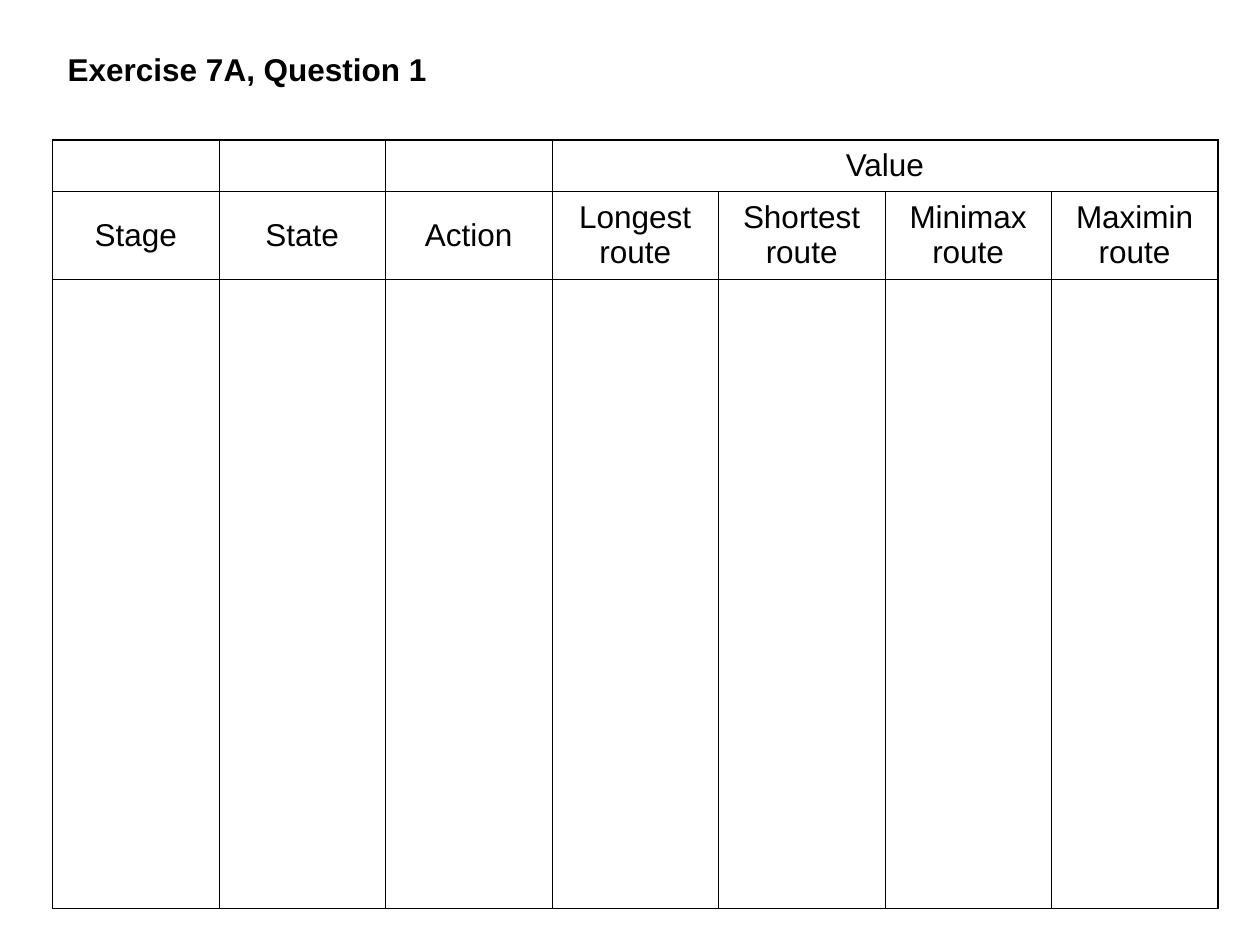
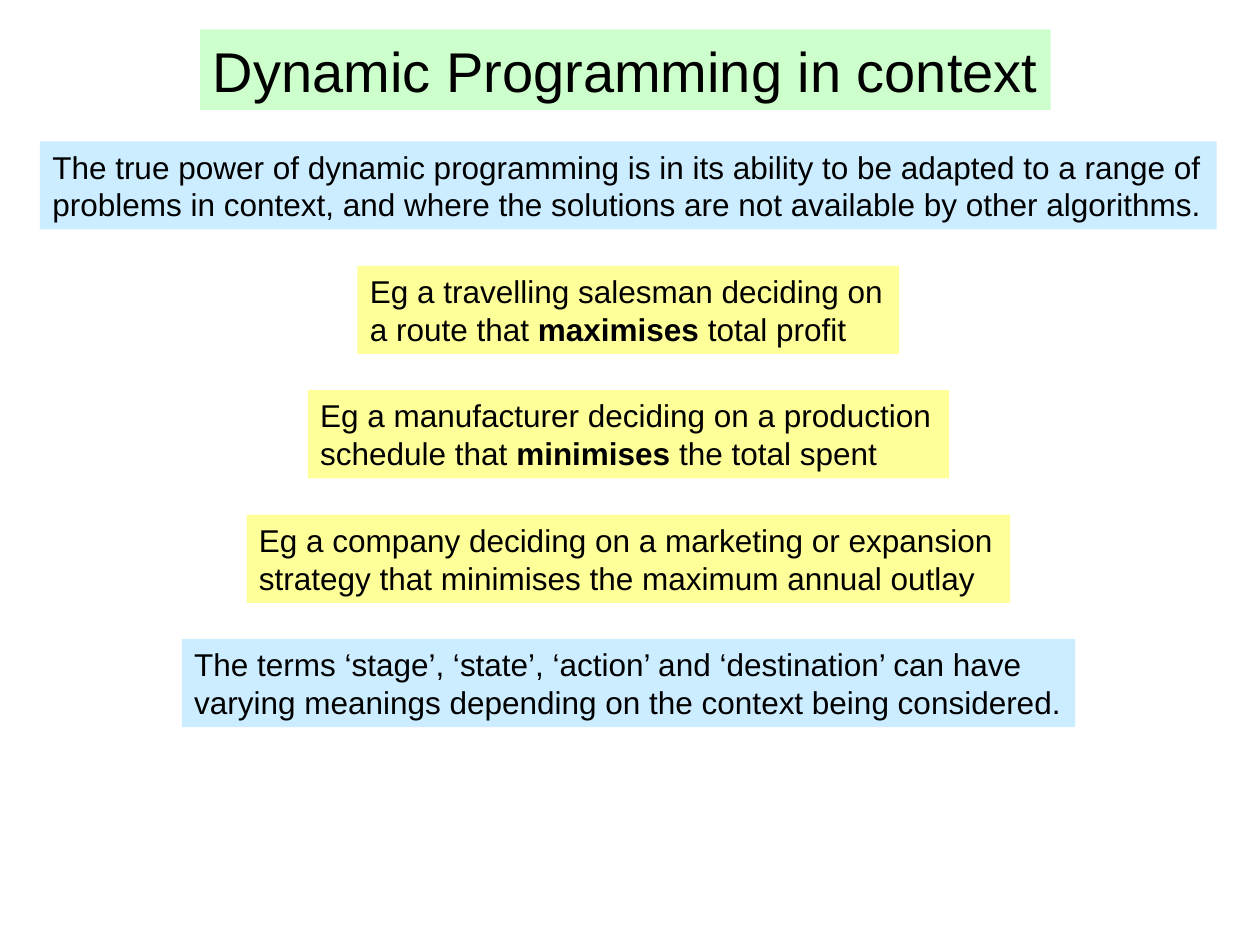
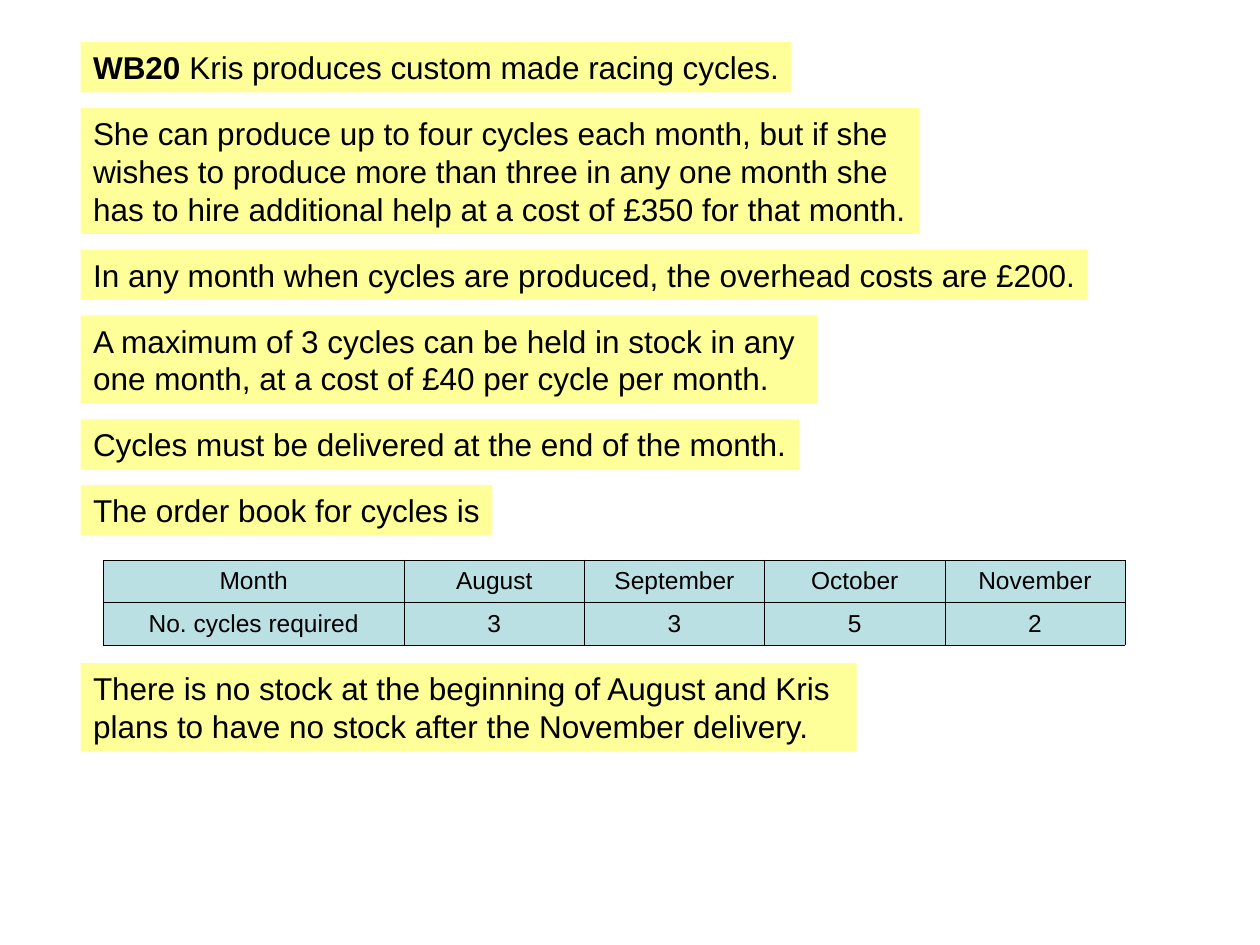
from lxml import etree
from pptx import Presentation
from pptx.dml.color import RGBColor
from pptx.enum.shapes import MSO_SHAPE as SHAPE
from pptx.enum.text import MSO_ANCHOR as ANCHOR, MSO_AUTO_SIZE as AUTO, PP_ALIGN as ALIGN
from pptx.oxml.ns import qn
from pptx.util import Pt

BLACK = RGBColor(0x00, 0x00, 0x00)
GREEN = RGBColor(0xCC, 0xFF, 0xCC)
BLUE = RGBColor(0xCC, 0xEC, 0xFF)
YELLOW = RGBColor(0xFF, 0xFF, 0x99)
TEAL = RGBColor(0xBB, 0xE0, 0xE3)

FONT = "Arial"
BODY, LINE = 18, 21.6  # text size and line pitch
PAD_X, PAD_Y = 7.2, 3.6
THIN, THICK = 0.45, 1.08
NO_STYLE = "{2D5ABB26-0587-4C30-8999-92F81FD0307C}"


def write(tf, text, size=BODY, line=LINE, align=ALIGN.LEFT, wrap=True):
    """Fill a text frame; parts between ** marks are bold."""
    frame = {"word_wrap": wrap, "auto_size": AUTO.NONE, "vertical_anchor": ANCHOR.TOP,
             "margin_left": Pt(PAD_X), "margin_right": Pt(PAD_X),
             "margin_top": Pt(PAD_Y), "margin_bottom": Pt(PAD_Y)}
    for name, value in frame.items():
        setattr(tf, name, value)
    p = tf.paragraphs[0]
    p.alignment, p.line_spacing = align, Pt(line)
    for i, part in enumerate(text.split("**")):
        if part:
            r = p.add_run()
            r.text = part
            font = {"name": FONT, "size": Pt(size), "bold": i % 2 == 1}
            for name, value in font.items():
                setattr(r.font, name, value)
            r.font.color.rgb = BLACK


def add_grid(s, left, top, widths, heights, texts, size, line, anchor, outer, fill=None):
    """Add a ruled table; a None text joins its cell to the one on its left."""
    rows, cols = len(heights), len(widths)
    table = s.shapes.add_table(rows, cols, Pt(left), Pt(top),
                               Pt(sum(widths)), Pt(sum(heights))).table
    table.first_row = table.horz_banding = False
    table._tbl.tblPr.find(qn("a:tableStyleId")).text = NO_STYLE
    for col, width in zip(table.columns, widths):
        col.width = Pt(width)
    for row, height in zip(table.rows, heights):
        row.height = Pt(height)
    for y, row_texts in enumerate(texts):
        for x, text in enumerate(row_texts):
            if text is None:
                continue
            end = x
            while end + 1 < cols and row_texts[end + 1] is None:
                end += 1
            cell = table.cell(y, x)
            if end > x:
                cell.merge(table.cell(y, end))
            # Borders, heavier on the outside
            tc_pr = cell._tc.get_or_add_tcPr()
            edges = {"L": x == 0, "R": end == cols - 1, "T": y == 0, "B": y == rows - 1}
            for side, outside in edges.items():
                ln = etree.SubElement(tc_pr, qn(f"a:ln{side}"),
                                      w=str(Pt(outer if outside else THIN)))
                color = etree.SubElement(ln, qn("a:solidFill"))
                etree.SubElement(color, qn("a:srgbClr"), val=str(BLACK))
            if fill is None:
                cell.fill.background()
            else:
                cell.fill.solid()
                cell.fill.fore_color.rgb = fill
            write(cell.text_frame, text, size, line, ALIGN.CENTER)
            cell.vertical_anchor = anchor
            cell.margin_left = cell.margin_right = Pt(PAD_X)
            cell.margin_top = cell.margin_bottom = Pt(PAD_Y)


prs = Presentation()
prs.slide_width, prs.slide_height = Pt(720), Pt(540)
TITLE_ONLY, BLANK = prs.slide_layouts[5], prs.slide_layouts[6]
exercise, context, cycles = [prs.slides.add_slide(layout)
                             for layout in (TITLE_ONLY, TITLE_ONLY, BLANK)]

# Titles
titles = [
    (exercise, (31.5, 25, 219.6, 28.8), "**Exercise 7A, Question 1**", BODY, LINE, None),
    (context, (114.4, 16.8, 486, 46), "Dynamic Programming in context", 32, 38.7, GREEN),
]
for s, box, text, size, line, fill in titles:
    title = s.shapes.title
    title.left, title.top, title.width, title.height = [Pt(v) for v in box]
    if fill is not None:
        title.fill.solid()
        title.fill.fore_color.rgb = fill
    write(title.text_frame, text, size, line, wrap=False)
    title.text_frame.margin_right = 0  # room to keep the title on one line

# Exercise: empty working table
headings = ["Stage", "State", "Action", "Longest route", "Shortest route",
            "Minimax route", "Maximin route"]
add_grid(exercise, 30, 80, [95.14] * 7, [28.6, 50.6, 359.3],
         [["", "", "", "Value", None, None, None], headings, [""] * 7],
         BODY, 20, ANCHOR.MIDDLE, THICK)

# Context: centred boxes at an equal pitch
CENTRE, FIRST_TOP, PITCH = 359.1, 80.8, 71.1
points = [
    (672.5, BLUE, "The true power of dynamic programming is in its ability to be adapted to a "
     "range of problems in context, and where the solutions are not available by other "
     "algorithms."),
    (309.6, YELLOW, "Eg a travelling salesman deciding on a route that **maximises** total profit"),
    (366.5, YELLOW, "Eg a manufacturer deciding on a production schedule that **minimises** "
     "the total spent"),
    (436.3, YELLOW, "Eg a company deciding on a marketing or expansion strategy that minimises "
     "the maximum annual outlay"),
    (510.5, BLUE, "The terms ‘stage’, ‘state’, ‘action’ and ‘destination’ can have varying "
     "meanings depending on the context being considered."),
]
boxes = [(context, CENTRE - width / 2, FIRST_TOP + i * PITCH, width, 2, fill, text)
         for i, (width, fill, text) in enumerate(points)]

# Cycles: statements stacked with an equal gap, the last one below the table
LEFT, GAP = 46.1, 8.9
statements = [
    (406, 1, "**WB20** Kris produces custom made racing cycles."),
    (479.5, 3, "She can produce up to four cycles each month, but if she wishes to produce more "
     "than three in any one month she has to hire additional help at a cost of £350 for that "
     "month."),
    (575.4, 1, "In any month when cycles are produced, the overhead costs are £200."),
    (421.2, 2, "A maximum of 3 cycles can be held in stock in any one month, at a cost of £40 "
     "per cycle per month."),
    (410.4, 1, "Cycles must be delivered at the end of the month."),
    (235.4, 1, "The order book for cycles is"),
]
top = 24
for width, lines, text in statements:
    boxes.append((cycles, LEFT, top, width, lines, YELLOW, text))
    top += lines * LINE + 2 * PAD_Y + GAP
boxes.append((cycles, LEFT, 378.9, 443.5, 2, YELLOW,
              "There is no stock at the beginning of August and Kris plans to have no stock "
              "after the November delivery."))

add_grid(cycles, 59, 320, [172] + [103] * 4, [24.3] * 2,
         [["Month", "August", "September", "October", "November"],
          ["No. cycles required", "3", "3", "5", "2"]],
         14, 16.4, ANCHOR.TOP, THIN, TEAL)

# Draw the filled text boxes
for s, left, top, width, lines, fill, text in boxes:
    sp = s.shapes.add_shape(SHAPE.RECTANGLE, Pt(left), Pt(top), Pt(width),
                            Pt(lines * LINE + 2 * PAD_Y))
    sp.shadow.inherit = False
    sp.fill.solid()
    sp.fill.fore_color.rgb = fill
    sp.line.fill.background()
    write(sp.text_frame, text, wrap=lines > 1)

prs.save("out.pptx")
